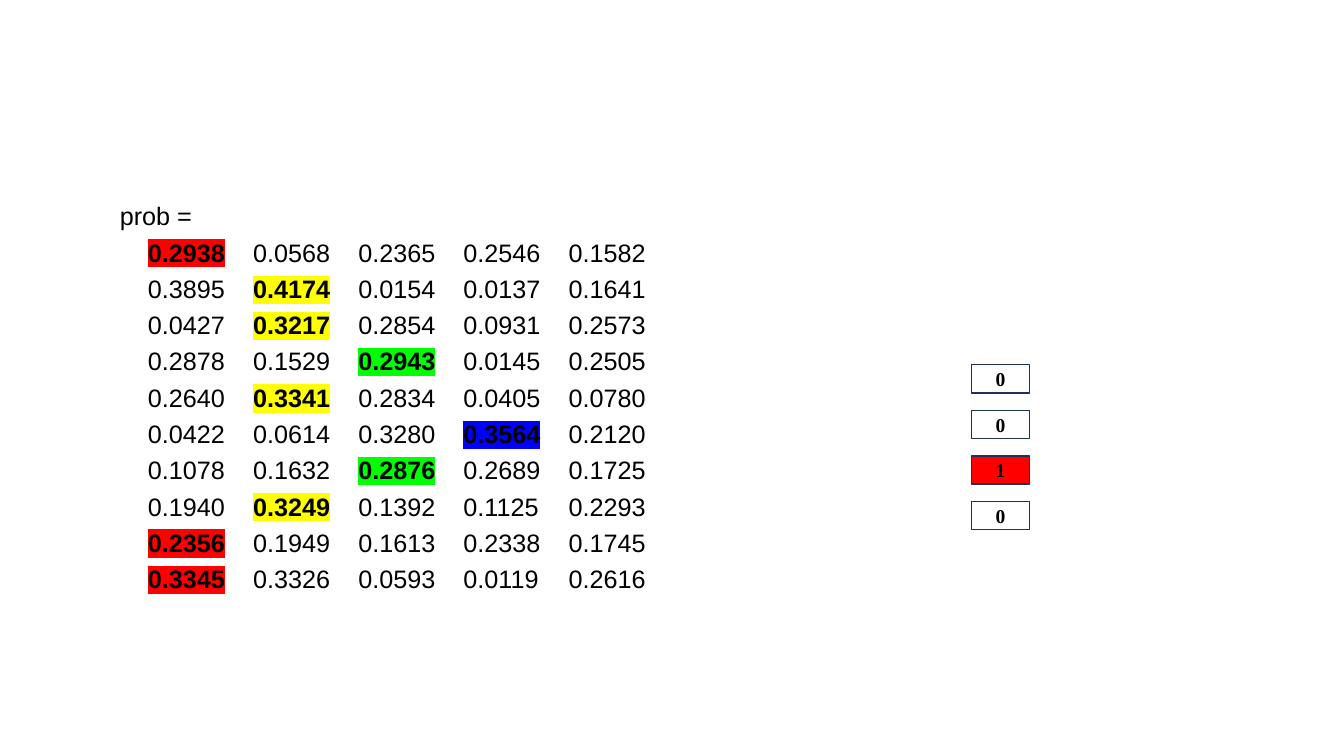
from dataclasses import dataclass

from lxml import etree
from pptx import Presentation
from pptx.dml.color import RGBColor
from pptx.enum.shapes import MSO_SHAPE
from pptx.enum.text import MSO_ANCHOR, PP_ALIGN
from pptx.oxml.ns import qn
from pptx.util import Cm, Pt

PROCESS = MSO_SHAPE.FLOWCHART_PROCESS
MIDDLE = MSO_ANCHOR.MIDDLE
CENTER = PP_ALIGN.CENTER

MATRIX_LABEL = "prob ="
PROBABILITIES = [
    ("0.2938", "0.0568", "0.2365", "0.2546", "0.1582"),
    ("0.3895", "0.4174", "0.0154", "0.0137", "0.1641"),
    ("0.0427", "0.3217", "0.2854", "0.0931", "0.2573"),
    ("0.2878", "0.1529", "0.2943", "0.0145", "0.2505"),
    ("0.2640", "0.3341", "0.2834", "0.0405", "0.0780"),
    ("0.0422", "0.0614", "0.3280", "0.3564", "0.2120"),
    ("0.1078", "0.1632", "0.2876", "0.2689", "0.1725"),
    ("0.1940", "0.3249", "0.1392", "0.1125", "0.2293"),
    ("0.2356", "0.1949", "0.1613", "0.2338", "0.1745"),
    ("0.3345", "0.3326", "0.0593", "0.0119", "0.2616"),
]
CODE_BITS = ["0", "0", "1", "0"]


@dataclass(frozen=True)
class Theme:
    matrix_font: str = "Arial"
    bit_font: str = "Times New Roman"
    matrix_size: int = 18
    bit_size: int = 14
    text: str = "000000"
    outline: str = "1E3256"
    active_bit: str = "FF0000"
    columns: tuple = ("FF0000", "FFFF00", "00FF00", "0000FF")


THEME = Theme()

MATRIX_BOX = (Cm(2.77), Cm(4.78), Cm(15.67), Cm(10.34))
FIRST_COLUMN, COLUMN_PITCH = Cm(0.71), Cm(2.65)
BIT_LEFT, BIT_TOP, BIT_PITCH = Cm(24.49), Cm(9.19), Cm(1.15)
BIT_WIDTH, BIT_HEIGHT = Cm(1.45), Cm(0.71)


def add_text(paragraph, text, *, font, size, bold=False, highlight=None):
    run = paragraph.add_run()
    run.text = text
    run.font.name = font
    run.font.size = Pt(size)
    run.font.bold = bold
    run.font.color.rgb = RGBColor.from_string(THEME.text)
    if highlight:
        mark = etree.Element(qn("a:highlight"))
        etree.SubElement(mark, qn("a:srgbClr"), val=highlight)
        run.font._element.find(qn("a:solidFill")).addnext(mark)


def set_column_stops(paragraph, count):
    stops = etree.SubElement(paragraph._p.get_or_add_pPr(), qn("a:tabLst"))
    for column in range(count):
        position = FIRST_COLUMN + column * COLUMN_PITCH
        etree.SubElement(stops, qn("a:tab"), pos=str(position), algn="l")


def add_matrix(slide):
    """Write the probabilities, marking each row's largest in its column colour."""
    frame = slide.shapes.add_textbox(*MATRIX_BOX).text_frame
    frame.word_wrap = True
    style = {"font": THEME.matrix_font, "size": THEME.matrix_size}
    label = frame.paragraphs[0]
    label.line_spacing = 1.2
    add_text(label, MATRIX_LABEL, **style)
    for row in PROBABILITIES:
        line = frame.add_paragraph()
        line.line_spacing = 1.2
        set_column_stops(line, len(row))
        best = row.index(max(row, key=float))
        for column, value in enumerate(row):
            is_best = column == best
            add_text(line, "\t", **style)
            add_text(line, value, bold=is_best,
                     highlight=THEME.columns[column] if is_best else None, **style)


def add_bit(slide, bit, top):
    box = slide.shapes.add_shape(PROCESS, BIT_LEFT, top, BIT_WIDTH, BIT_HEIGHT)
    box.shadow.inherit = False
    box.line.color.rgb = RGBColor.from_string(THEME.outline)
    box.line.width = Pt(1)
    if bit == "1":
        box.fill.solid()
        box.fill.fore_color.rgb = RGBColor.from_string(THEME.active_bit)
    else:
        box.fill.background()
    frame = box.text_frame
    frame.vertical_anchor = MIDDLE
    frame.margin_top = frame.margin_bottom = 0
    paragraph = frame.paragraphs[0]
    paragraph.alignment = CENTER
    add_text(paragraph, bit, font=THEME.bit_font, size=THEME.bit_size, bold=True)


def main():
    deck = Presentation()
    deck.slide_width, deck.slide_height = Cm(33.87), Cm(19.05)
    slide = deck.slides.add_slide(deck.slide_layouts[6])
    add_matrix(slide)
    for index, bit in enumerate(CODE_BITS):
        add_bit(slide, bit, BIT_TOP + index * BIT_PITCH)
    deck.save("out.pptx")


if __name__ == "__main__":
    main()
